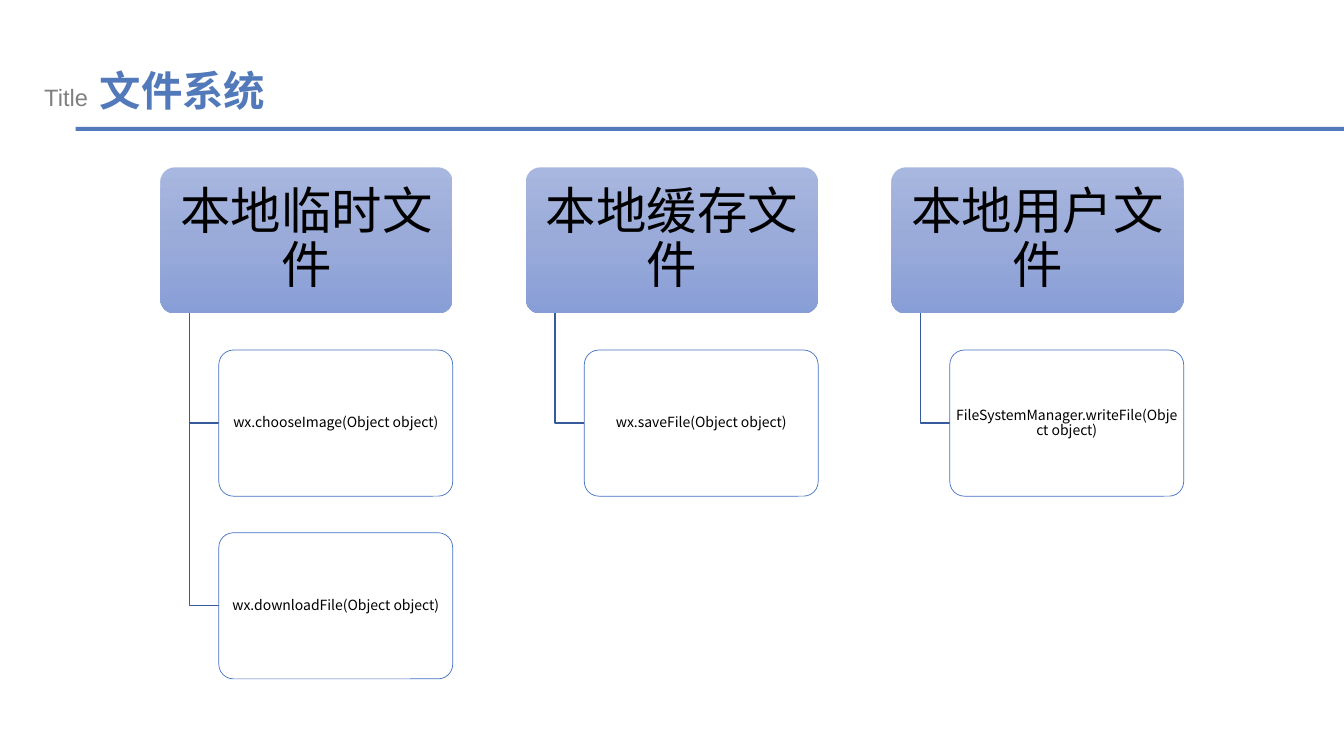
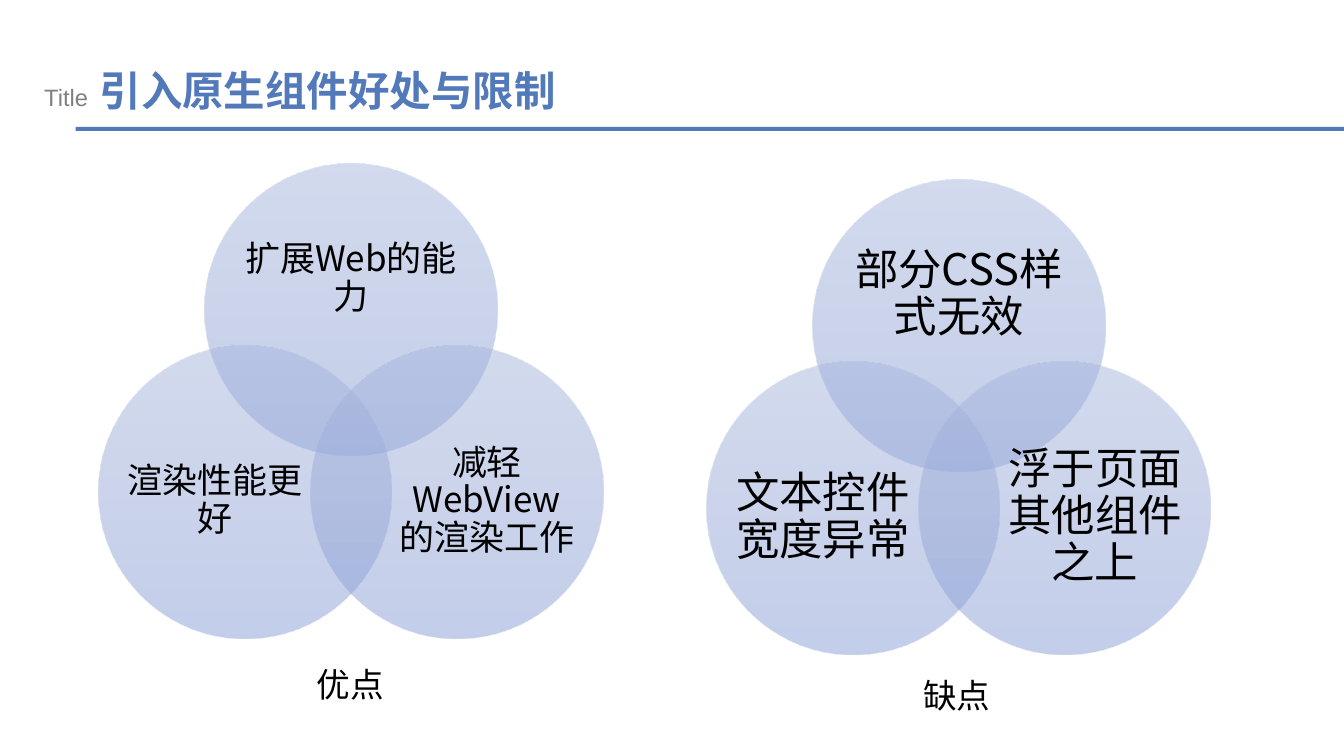
from pptx import Presentation
from pptx.dml.color import RGBColor
from pptx.enum.shapes import MSO_SHAPE
from pptx.enum.text import MSO_ANCHOR, PP_ALIGN
from pptx.oxml.ns import qn
from pptx.util import Inches, Pt
from lxml.etree import SubElement

BLUE = RGBColor(0x52, 0x79, 0xBA)
EDGE = RGBColor(0x44, 0x72, 0xC4)
WIRE = RGBColor(0x36, 0x5B, 0x9D)
GRAY = RGBColor(0x80, 0x80, 0x80)
BLACK = RGBColor(0, 0, 0)
WHITE = RGBColor(255, 255, 255)
SHADES = [(0, "A8B7DF"), (50, "9AABD9"), (100, "889ED7")]
SANS = "Noto Sans CJK SC"


def write(shape, runs, pad=None, center=True):
    frame = shape.text_frame
    frame.word_wrap = True
    para = frame.paragraphs[0]
    frame.vertical_anchor = MSO_ANCHOR.MIDDLE if center else MSO_ANCHOR.TOP
    para.alignment = PP_ALIGN.CENTER if center else PP_ALIGN.LEFT
    if center:
        para.line_spacing = 0.9
    if pad:
        frame.margin_left = frame.margin_right = Inches(pad[0])
        frame.margin_top = frame.margin_bottom = Inches(pad[1])
    for text, size, face, color, bold in runs:
        run = para.add_run()
        run.text = text
        run.font.size = Pt(size)
        run.font.name = face
        run.font.bold = bold
        run.font.color.rgb = color
        SubElement(run.font._element, qn("a:ea")).set("typeface", SANS)


def shade(shape, alpha=100):
    shape.shadow.inherit = False
    shape.line.fill.background()
    shape.fill.gradient()
    shape.fill.gradient_angle = 270
    stops = shape._element.spPr.find(qn("a:gradFill")).find(qn("a:gsLst"))
    for old in list(stops):
        stops.remove(old)
    for pos, tone in SHADES:
        stop = SubElement(stops, qn("a:gs"))
        stop.set("pos", str(pos * 1000))
        color = SubElement(stop, qn("a:srgbClr"))
        color.set("val", tone)
        if alpha < 100:
            SubElement(color, qn("a:alpha")).set("val", str(alpha * 1000))


deck = Presentation()
deck.slide_width = Inches(13.33)
deck.slide_height = Inches(7.5)

pages = []
for title in ["文件系统", "引入原生组件好处与限制"]:
    page = deck.slides.add_slide(deck.slide_layouts[6])
    pages.append(page)
    rule = page.shapes.add_shape(MSO_SHAPE.RECTANGLE, Inches(0.75), Inches(1.26), Inches(12.58), Inches(0.04))
    rule.shadow.inherit = False
    rule.fill.solid()
    rule.fill.fore_color.rgb = BLUE
    rule.line.fill.background()
    head = page.shapes.add_textbox(Inches(0.34), Inches(0.6), Inches(10.74), Inches(0.6))
    write(head, [
        ("Title", 16.9, "Arial", GRAY, False),
        (" ", 29.6, "Arial", BLACK, False),
        (title, 29.6, "Arial", BLUE, True),
    ], center=False)

files, native = pages

TREE = [
    ("本地临时文件", ["wx.chooseImage(Object object)", "wx.downloadFile(Object object)"]),
    ("本地缓存文件", ["wx.saveFile(Object object)"]),
    ("本地用户文件", ["FileSystemManager.writeFile(Object object)"]),
]
TOP, HIGH, WIDE, INDENT = 1.66, 1.45, 2.9, 0.29
for col, (name, calls) in enumerate(TREE):
    left = 1.59 + col * 3.625
    root = files.shapes.add_shape(MSO_SHAPE.ROUNDED_RECTANGLE, Inches(left), Inches(TOP), Inches(WIDE), Inches(HIGH))
    root.adjustments[0] = 0.1
    shade(root)
    write(root, [(name, 36, SANS, BLACK, False)], (0.07, 0.05))
    stem = left + INDENT
    for row, call in enumerate(calls, 1):
        top = TOP + row * HIGH * 1.25
        mid = top + HIGH / 2
        path = files.shapes.build_freeform(Inches(stem), Inches(TOP + HIGH))
        path.add_line_segments([
            (Inches(stem), Inches(mid)),
            (Inches(stem + INDENT), Inches(mid)),
        ], close=False)
        elbow = path.convert_to_shape()
        elbow.shadow.inherit = False
        elbow.fill.background()
        elbow.line.color.rgb = WIRE
        elbow.line.width = Pt(1)
        leaf = files.shapes.add_shape(
            MSO_SHAPE.ROUNDED_RECTANGLE, Inches(stem + INDENT), Inches(top), Inches(WIDE * 0.8), Inches(HIGH))
        leaf.adjustments[0] = 0.1
        leaf.shadow.inherit = False
        leaf.fill.solid()
        leaf.fill.fore_color.rgb = WHITE
        leaf.line.color.rgb = EDGE
        leaf.line.width = Pt(0.5)
        write(leaf, [(call, 10, SANS, BLACK, False)], (0.02, 0.01))

SPOTS = [
    (0, 0, 0.39, 0.5, 2.12, 1.3),
    (1.05, 1.81, 0.88, 0.75, 1.74, 1.59),
    (-1.05, 1.81, 0.28, 0.75, 1.74, 1.59),
]
VENNS = [
    (2.03, 1.62, 25, ["扩展Web的能力", "减轻WebView的渲染工作", "渲染性能更好"], "优点", 3.04, 6.54),
    (8.06, 1.78, 31, ["部分CSS样式无效", "浮于页面其他组件之上", "文本控件宽度异常"], "缺点", 9.06, 6.65),
]
for left, top, size, words, label, x, y in VENNS:
    for word, (dx, dy, inx, iny, wide, high) in zip(words, SPOTS):
        disc = native.shapes.add_shape(
            MSO_SHAPE.OVAL, Inches(left + dx), Inches(top + dy), Inches(2.9), Inches(2.9))
        shade(disc, 50)
        note = native.shapes.add_textbox(
            Inches(left + dx + inx), Inches(top + dy + iny), Inches(wide), Inches(high))
        write(note, [(word, size, SANS, BLACK, False)], (0, 0))
    tag = native.shapes.add_textbox(Inches(x), Inches(y), Inches(0.88), Inches(0.5))
    write(tag, [(label, 24, SANS, BLACK, False)], center=False)

deck.save("out.pptx")
